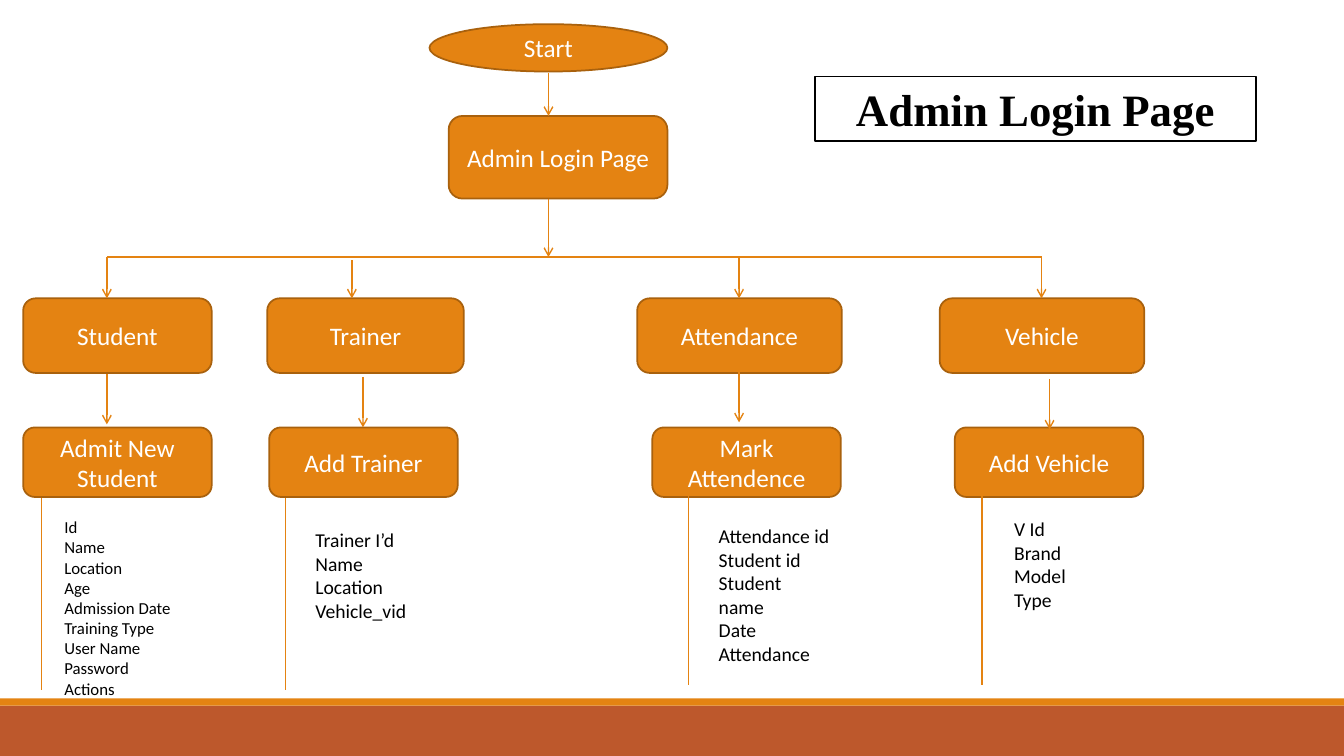
from collections import namedtuple

from lxml.etree import SubElement
from pptx import Presentation
from pptx.dml.color import RGBColor
from pptx.enum.shapes import MSO_CONNECTOR as Connector, MSO_SHAPE as Preset
from pptx.enum.text import MSO_ANCHOR as Anchor, PP_ALIGN as Align
from pptx.oxml.ns import qn
from pptx.util import Inches, Pt

ORANGE, BROWN, RUST = "E48312", "A9610D", "BD582C"
WHITE, BLACK = "FFFFFF", "000000"

Box = namedtuple("Box", "left top width height")
Branch = namedtuple(
    "Branch",
    "box title action action_left entry step rail fields fields_box size",
)


def color(value):
    return RGBColor.from_string(value)


def write(shape, lines, size, ink, font="Calibri", align=Align.LEFT, bold=False):
    frame = shape.text_frame
    frame.word_wrap = True
    frame.text = "\n".join(lines)
    for para in frame.paragraphs:
        para.alignment = align
        for span in para.runs:
            span.font.name = font
            span.font.size = Pt(size)
            span.font.bold = bold
            span.font.color.rgb = color(ink)


def add_block(page, preset, box, fill, outline=None):
    shape = page.shapes.add_shape(preset, *map(Inches, box))
    shape.shadow.inherit = False
    shape.fill.solid()
    shape.fill.fore_color.rgb = color(fill)
    if outline:
        shape.line.color.rgb = color(outline)
        shape.line.width = Pt(1.25)
    else:
        shape.line.fill.background()
    return shape


def add_node(page, box, label, preset=Preset.ROUNDED_RECTANGLE):
    node = add_block(page, preset, box, ORANGE, BROWN)
    node.text_frame.vertical_anchor = Anchor.MIDDLE
    write(node, [label], 18, WHITE, align=Align.CENTER)


def add_line(page, start, end, arrow=False):
    line = page.shapes.add_connector(
        Connector.STRAIGHT, *map(Inches, (*start, *end))
    )
    line.line.color.rgb = color(ORANGE)
    line.line.width = Pt(1)
    if arrow:
        SubElement(line.line._get_or_add_ln(), qn("a:tailEnd"), type="arrow")
    SubElement(line._element.spPr, qn("a:effectLst"))


def add_footer(page, box):
    stripe = 0.07
    add_block(page, Preset.RECTANGLE, box._replace(top=box.top + stripe, height=box.height - stripe), RUST)
    add_block(page, Preset.RECTANGLE, box._replace(height=stripe), ORANGE)


def add_title(page, box):
    title = add_block(page, Preset.RECTANGLE, box, WHITE, BLACK)
    title.text_frame.vertical_anchor = Anchor.TOP
    write(title, ["Admin Login Page"], 32, BLACK, "Times New Roman", Align.CENTER, True)


def add_entry(page, box):
    stem = box.left + 1.18
    login_top = box.top + 0.91
    add_node(page, box._replace(height=0.47), "Start", Preset.OVAL)
    add_node(page, Box(box.left + 0.19, login_top, box.width - 0.19, 0.82), "Admin Login Page")
    add_line(page, (stem, box.top + 0.48), (stem, login_top), True)
    add_line(page, (stem, login_top + 0.82), (stem, box.top + box.height), True)


def add_branch(page, branch):
    box = branch.box
    action_top = box.top + 1.28
    add_node(page, box, branch.title)
    add_node(page, Box(branch.action_left, action_top, 1.87, 0.69), branch.action)
    for x, start, end in (branch.entry, branch.step):
        add_line(page, (x, start), (x, end), True)
    rail_x, rail_top = branch.rail
    add_line(page, (rail_x, rail_top), (rail_x, rail_top + 1.91))
    fields = page.shapes.add_textbox(*map(Inches, branch.fields_box))
    write(fields, branch.fields, branch.size, BLACK)


deck = Presentation()
deck.slide_width, deck.slide_height = Inches(13.33), Inches(7.5)
page = deck.slides.add_slide(deck.slide_layouts[6])

BUS, ROW, ROW_HEIGHT = 2.55, 2.96, 0.74
branches = [
    Branch(
        Box(0.23, ROW, 1.87, ROW_HEIGHT), "Student", "Admit New Student", 0.23,
        (1.06, BUS, ROW), (1.06, 3.71, 4.21), (0.41, 4.94),
        ["Id", "Name", "Location", "Age", "Admission Date", "Training Type",
         "User Name", "Password", "Actions"],
        Box(0.54, 5.08, 1.56, 2.12), 12,
    ),
    Branch(
        Box(2.65, ROW, 1.95, ROW_HEIGHT), "Trainer", "Add Trainer", 2.67,
        (3.49, 2.58, ROW), (3.6, 3.74, 4.24), (2.83, 4.94),
        ["Trainer I’d", "Name", "Location", "Vehicle_vid"],
        Box(3.03, 5.19, 1.1, 1.04), 14,
    ),
    Branch(
        Box(6.32, ROW, 2.03, ROW_HEIGHT), "Attendance", "Mark Attendence", 6.47,
        (7.33, BUS, ROW), (7.33, 3.69, 4.19), (6.83, 4.89),
        ["Attendance id", "Student id", "Student name", "Date", "Attendance"],
        Box(7.03, 5.15, 1.31, 1.28), 14,
    ),
    Branch(
        Box(9.32, ROW, 2.03, ROW_HEIGHT), "Vehicle", "Add Vehicle", 9.47,
        (10.33, BUS, ROW), (10.41, 3.76, 4.26), (9.74, 4.89),
        ["V Id", "Brand", "Model", "Type"],
        Box(9.96, 5.08, 1.23, 1.04), 14,
    ),
]

add_footer(page, Box(0, 6.93, 13.33, 0.57))
add_entry(page, Box(4.26, 0.24, 2.36, 2.31))
add_line(page, (branches[0].entry[0], BUS), (branches[-1].entry[0], BUS))
for branch in branches:
    add_branch(page, branch)
add_title(page, Box(8.08, 0.76, 4.38, 0.64))

deck.save("out.pptx")
